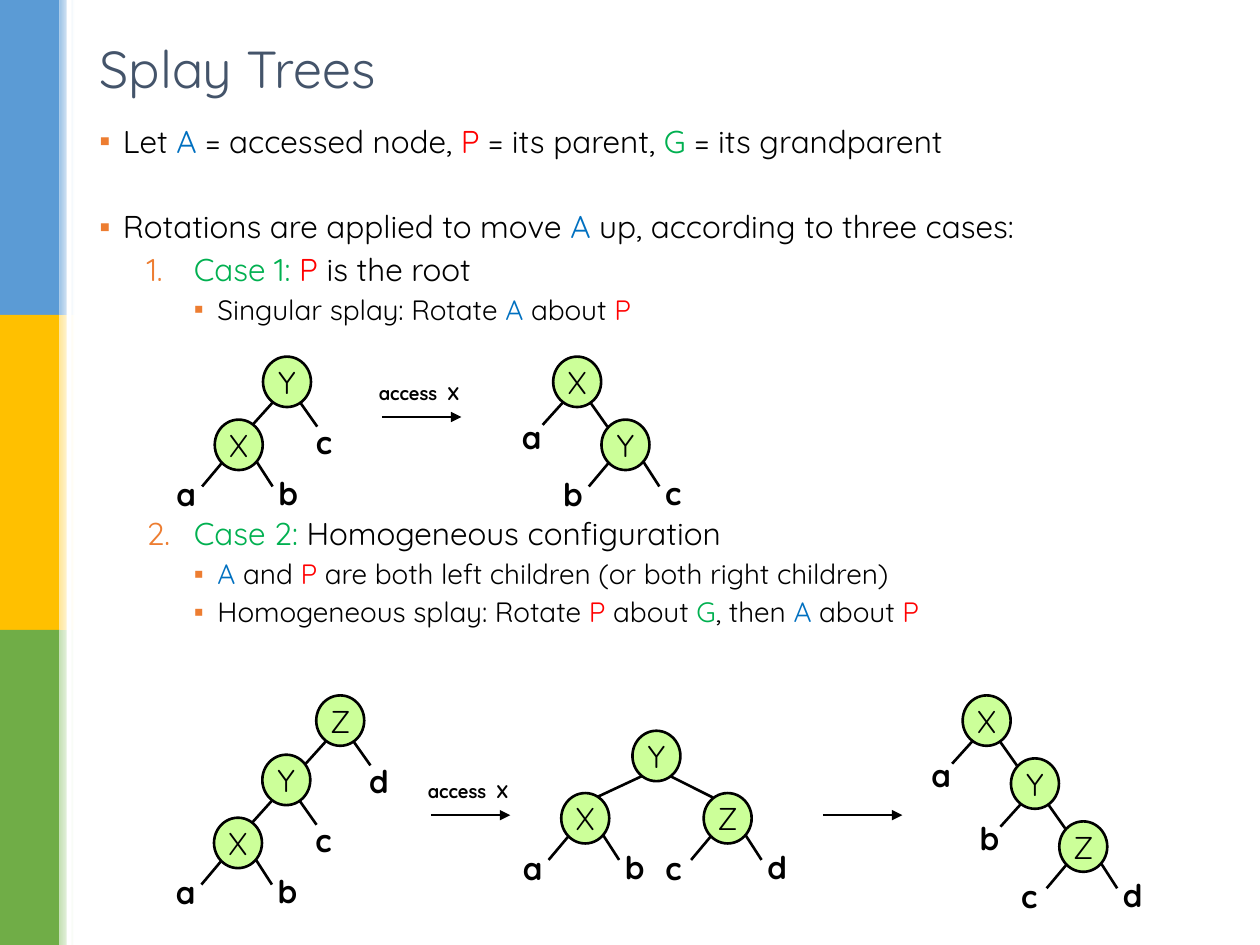
from lxml.etree import SubElement as Sub
from pptx import Presentation
from pptx.dml.color import RGBColor as Rgb
from pptx.enum.shapes import MSO_CONNECTOR as Conn, MSO_SHAPE as Kind
from pptx.enum.text import MSO_ANCHOR as Anchor, PP_ALIGN as Align
from pptx.oxml.ns import qn
from pptx.util import Pt

FONT = "Quicksand"
HUES = {
    "black": "000000", "white": "FFFFFF", "title": "44546A",
    "A": "0070C0", "P": "FF0000", "G": "00B050",
    "mark": "ED7D31", "node": "CCFF99",
    "blue": "5B9BD5", "gold": "FFC000", "green": "70AD47",
    "pale blue": "9DC3E6", "pale gold": "FFE699", "pale green": "C5E0B4",
}
# Node size, and label size for the leaves
NODE = (27.4, 28.8)
LEAF = (26.6, 28.8)
# By count of inner children: left edge, right edge, child step, leaf offsets
FORMS = {
    0: ((4.3, 24.5, -7.2, 38.2), (23.8, 23.8, 33.1, 38.2), None,
        ((-28.9, 28.2), (29.3, 27.6))),
    1: ((6, 25.7, -6, 39), (20.9, 25.7, 31, 40), (27.6, 36),
        ((-25, 31.3), (23.2, 34.5))),
    2: ((6.5, 25.4, -20.9, 38.2), (21.6, 25.9, 46.1, 38.2), (40.7, 35.6), None),
}


def hue(key):
    """Return the named colour."""
    return Rgb.from_string(HUES[key])


def write(para, text, size, key="black", bold=False):
    """Add one run to a paragraph."""
    run = para.add_run()
    run.text = text
    font = run.font
    font.name, font.size, font.bold = FONT, Pt(size), bold
    font.color.rgb = hue(key)


def block(slide, kind, box, key):
    """Add a plain filled shape without a line."""
    shape = slide.shapes.add_shape(kind, *map(Pt, box))
    shape.shadow.inherit = False
    shape.fill.solid()
    shape.fill.fore_color.rgb = hue(key)
    shape.line.fill.background()
    return shape


def label(slide, box, text, size):
    """Add a bold one-line label."""
    frame = slide.shapes.add_textbox(*map(Pt, box)).text_frame
    frame.word_wrap = False
    write(frame.paragraphs[0], text, size, bold=True)


def link(slide, x1, y1, x2, y2, head=False):
    """Draw a black line, with an arrowhead if asked."""
    line = slide.shapes.add_connector(Conn.STRAIGHT, *map(Pt, (x1, y1, x2, y2)))
    line.line.color.rgb = hue("black")
    line.line.width = Pt(1.5)
    props = line._element.spPr
    if head:
        Sub(props.find(qn("a:ln")), qn("a:tailEnd"), type="triangle")
    Sub(props, qn("a:effectLst"))


def bars(slide, box):
    """Fill the box with three stacked bands and their fading edges."""
    x, y, wide, high = box
    step = high / 3
    for i, key in enumerate(("blue", "gold", "green")):
        top = y + i * step
        block(slide, Kind.RECTANGLE, (x, top, wide * 0.8, step), key)
        fade = block(slide, Kind.RECTANGLE,
                     (x + wide * 0.8, top, wide * 0.2, step), "white")
        fade.fill.gradient()
        fade.fill.gradient_angle = 0
        for stop, tint in zip(fade.fill.gradient_stops, ("pale " + key, "white")):
            stop.color.rgb = hue(tint)
            stop.position = 1.0 if tint == "white" else 0.0
    block(slide, Kind.RECTANGLE, (x + wide * 0.9, y, 2.9, high), "white")


def head(slide, box, text):
    """Place and format the title."""
    title = slide.shapes.title
    title.left, title.top, title.width, title.height = map(Pt, box)
    frame = title.text_frame
    frame.vertical_anchor = Anchor.MIDDLE
    para = frame.paragraphs[0]
    para.alignment = Align.LEFT
    write(para, text, 29.7, "title")


def bullet(para, left, hang, num):
    """Set indent and a square mark or a number."""
    props = para._p.get_or_add_pPr()
    props.set("marL", str(Pt(left)))
    props.set("indent", str(Pt(-hang)))
    Sub(Sub(props, qn("a:buClr")), qn("a:srgbClr"), val=HUES["mark"])
    if num:
        Sub(props, qn("a:buFont"), typeface=FONT)
        Sub(props, qn("a:buAutoNum"), type="arabicPeriod", startAt=str(num))
    else:
        Sub(props, qn("a:buFont"), typeface="Arial")
        Sub(props, qn("a:buChar"), char="▪")


def body(slide, box, rows):
    """Write the outline; each row is level, gap before, number, runs."""
    frame = slide.shapes.add_textbox(*map(Pt, box)).text_frame
    frame.word_wrap = True
    forms = ((13.5, 13.5, 18), (54, 27, 18), (67.5, 13.5, 16))
    for i, (level, gap, num, runs) in enumerate(rows):
        para = frame.add_paragraph() if i else frame.paragraphs[0]
        left, hang, size = forms[level]
        para.level = level
        para.line_spacing = 0.9
        para.space_before = Pt(gap)
        bullet(para, left, hang, num)
        for run in runs:
            text, key = run if isinstance(run, tuple) else (run, "black")
            write(para, text, size, key)


def tree(slide, x, y, name, *kids, step=None):
    """Draw a tree whose root node has its top left corner at x, y."""
    inner = sum(isinstance(kid, tuple) for kid in kids)
    *edges, drop, leaves = FORMS[inner]
    dx, dy = step or drop or (0, 0)
    for i, (kid, edge) in enumerate(zip(kids, edges)):
        x1, y1, x2, y2 = edge
        link(slide, x + x1, y + y1, x + x2, y + y2)
        if isinstance(kid, tuple):
            tree(slide, x + (dx if i else -dx), y + dy, *kid)
        else:
            ox, oy = leaves[i]
            label(slide, (x + ox, y + oy, *LEAF), kid, 18)
    node = block(slide, Kind.OVAL, (x, y, *NODE), "node")
    node.line.color.rgb = hue("black")
    node.line.width = Pt(1.5)
    frame = node.text_frame
    frame.word_wrap = False
    frame.vertical_anchor = Anchor.MIDDLE
    para = frame.paragraphs[0]
    para.alignment = Align.CENTER
    write(para, name, 18)


def arrow(slide, x, y, text=None):
    """Draw a step arrow from x, y with an optional label above."""
    link(slide, x, y, x + 45.4, y, head=True)
    if text:
        label(slide, (x - 8.8, y - 23.4, 64.8, 20.2), text, 10.5)


def main():
    """Build and save the slide."""
    deck = Presentation()
    deck.slide_width, deck.slide_height = Pt(720), Pt(540)
    slide = deck.slides.add_slide(deck.slide_layouts[5])
    bars(slide, (0, 0, 42.4, 540))
    head(slide, (49.7, 18.7, 269.3, 40.3), "Splay Trees")
    a, p, g = ("A ", "A"), ("P ", "P"), ("G ", "G")
    a_end, p_end, g_end = ("A", "A"), ("P", "P"), ("G", "G")
    body(slide, (49.7, 68.4, 629.3, 463.7), (
        (0, 0, 0, ("Let ", a, "= accessed node, ", p, "= its parent, ", g,
                   "= its grandparent")),
        (0, 29.5, 0, ("Rotations are applied to move ", a_end,
                      " up, according to three cases:")),
        (1, 4.8, 1, (("Case 1: ", "G"), p, "is the root")),
        (2, 4.5, 0, ("Singular splay: Rotate ", a, "about ", p_end)),
        (1, 109.8, 2, (("Case 2:", "G"), " Homogeneous configuration")),
        (2, 4.5, 0, (a, "and ", p,
                     "are both left children (or both right children)")),
        (2, 4.5, 0, ("Homogeneous splay: Rotate ", p, "about ", g_end,
                     ", then ", a, "about ", p_end)),
    ))
    low = ("X", "a", "b")
    tree(slide, 150.3, 203.8, "Y", low, "c")
    arrow(slide, 218.2, 238.3, "access  X")
    tree(slide, 316.1, 203.8, "X", "a", ("Y", "b", "c"))
    tree(slide, 180.7, 397.4, "Z", ("Y", low, "c"), "d", step=(30.8, 33.9))
    arrow(slide, 246.2, 465.8, "access  X")
    tree(slide, 361.4, 417.6, "Y", low, ("Z", "c", "d"))
    arrow(slide, 470.2, 465.8)
    tree(slide, 550.1, 397.4, "X", "a", ("Y", "b", ("Z", "c", "d")))
    deck.save("out.pptx")


main()
